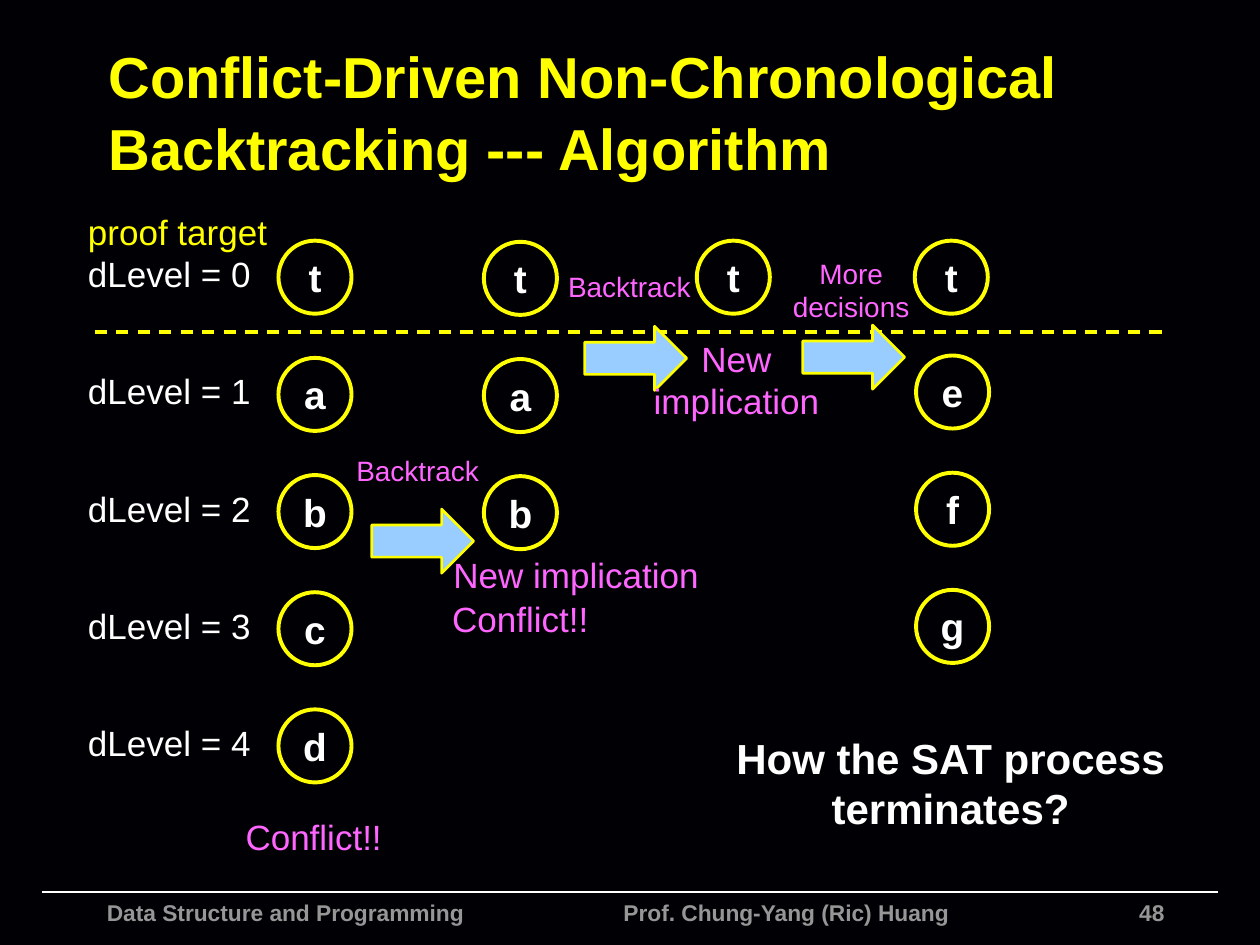
from dataclasses import dataclass

from lxml.etree import SubElement
from pptx import Presentation
from pptx.dml.color import RGBColor
from pptx.enum.dml import MSO_LINE_DASH_STYLE as Dash
from pptx.enum.shapes import MSO_CONNECTOR as Connector, MSO_SHAPE as Shape
from pptx.enum.text import MSO_ANCHOR as Anchor, PP_ALIGN as Align
from pptx.oxml.ns import qn
from pptx.util import Inches, Pt


@dataclass(frozen=True)
class Theme:
    font: str = "Arial"
    back: str = "010004"
    white: str = "FFFFFF"
    yellow: str = "FFFF00"
    pink: str = "FF66FF"
    blue: str = "99CCFF"
    grey: str = "969696"
    title: float = 33
    question: float = 24
    node: float = 22.2
    body: float = 20
    small: float = 16
    footer: float = 13


@dataclass(frozen=True)
class Column:
    x: float
    labels: str
    row: float = 0


@dataclass(frozen=True)
class Label:
    text: str
    x: float
    row: float
    w: float
    size: float
    colors: tuple[str, ...]
    h: float = 0.44
    bold: bool = False
    align: Align = Align.LEFT
    wrap: bool = False


T = Theme()
WIDTH, HEIGHT = 10, 7.5
GRID_TOP, PITCH = 1.91, 0.93  # row 0 is decision level 0
NODE = 0.58


def px(percent: float) -> int:
    """Horizontal position as a percentage of the slide width."""
    return Inches(WIDTH * percent / 100)


def py(row: float) -> int:
    """Vertical position in rows of the decision-level grid."""
    return Inches(GRID_TOP + row * PITCH)


def rgb(color: str) -> RGBColor:
    return RGBColor.from_string(color)


def style(p, size: float, color: str, bold: bool, align: Align) -> None:
    p.alignment = align
    for r in p.runs:
        r.font.name, r.font.size, r.font.bold = T.font, Pt(size), bold
        r.font.color.rgb = rgb(color)


def outline(sp, color: str, width: float) -> None:
    sp.line.color.rgb = rgb(color)
    sp.line.width = Pt(width)


def add_label(s, label: Label):
    sp = s.shapes.add_textbox(px(label.x), py(label.row), Inches(label.w), Inches(label.h))
    tf = sp.text_frame
    tf.word_wrap = label.wrap
    tf.text = label.text
    for p, color in zip(tf.paragraphs, label.colors):
        style(p, label.size, color, label.bold, label.align)
    return sp


def add_node(s, text: str, x: float, row: float) -> None:
    sp = s.shapes.add_shape(Shape.OVAL, px(x), py(row), Inches(NODE), Inches(NODE))
    sp.shadow.inherit = False
    sp.fill.background()
    outline(sp, T.yellow, 2.25)
    tf = sp.text_frame
    tf.margin_left = tf.margin_right = tf.margin_top = tf.margin_bottom = Inches(0.05)
    tf.word_wrap, tf.vertical_anchor = False, Anchor.MIDDLE
    tf.text = text
    style(tf.paragraphs[0], T.node, T.white, True, Align.CENTER)


def add_arrow(s, x: float, row: float) -> None:
    sp = s.shapes.add_shape(Shape.RIGHT_ARROW, px(x), py(row), Inches(0.81), Inches(0.51))
    sp.shadow.inherit = False
    sp.fill.solid()
    sp.fill.fore_color.rgb = rgb(T.blue)
    outline(sp, T.yellow, 1.5)


def add_rule(s, x1: float, x2: float, row: float, color: str, width: float):
    sp = s.shapes.add_connector(Connector.STRAIGHT, px(x1), py(row), px(x2), py(row))
    outline(sp, color, width)
    SubElement(sp._element.spPr, qn("a:effectLst"))
    return sp


def add_title(s, text: str) -> None:
    sp = s.shapes.title
    sp.left, sp.top, sp.width, sp.height = px(7.6), py(-1.66), Inches(8.84), Inches(1.01)
    tf = sp.text_frame
    tf.word_wrap, tf.vertical_anchor = True, Anchor.MIDDLE
    tf.text = text
    tf.paragraphs[0].line_spacing = 1.04
    style(tf.paragraphs[0], T.title, T.yellow, True, Align.LEFT)


def add_footer(s) -> None:
    row, grey = 5.56, (T.grey,)
    add_rule(s, 3.3, 96.7, row, T.white, 1)
    add_label(s, Label("48", 61.7, row, 3.17, T.footer, grey, 0.18, True, Align.RIGHT, True))
    sp = add_label(s, Label("Data Structure and Programming\tProf. Chung-Yang (Ric) Huang",
                            7.5, row, 7.24, T.footer, grey, 0.42, True, wrap=True))
    tabs = SubElement(sp.text_frame.paragraphs[0]._p.get_or_add_pPr(), qn("a:tabLst"))
    SubElement(tabs, qn("a:tab"), pos=str(Inches(4.1)), algn="l")


COLUMNS = [
    Column(22.1, "tabcd"),
    Column(38.4, "tab", 0.01),
    Column(55.3, "t"),
    Column(72.6, "t"),
    Column(72.7, "efg", 0.98),
]
ARROWS = [(29.5, 2.29), (46.4, 0.73), (63.7, 0.72)]

PINK = (T.pink,)
LABELS = [
    Label("proof target\ndLevel = 0", 6, -0.31, 1.63, T.body, (T.yellow, T.white), 0.77),
    *(Label(f"dLevel = {i}", 6, i + 0.05, 1.5, T.body, (T.white,)) for i in range(1, 5)),
    Label("Conflict!!", 18.5, 4.85, 1.29, T.body, PINK),
    Label("Conflict!!", 34.9, 2.99, 1.29, T.body, PINK),
    Label("Backtrack", 27.3, 1.76, 1.19, T.small, PINK, 0.37),
    Label("Backtrack", 44.1, 0.19, 1.19, T.small, PINK, 0.37),
    Label("More decisions", 61.4, 0.08, 1.23, T.small, PINK, 0.64,
          align=Align.CENTER, wrap=True),
    Label("New implication", 35, 2.62, 2.18, T.body, PINK),
    Label("New implication", 49.8, 0.77, 1.73, T.body, PINK, 0.77,
          align=Align.CENTER, wrap=True),
    Label("How the SAT process terminates?", 56.8, 4.14, 3.73, T.question, (T.white,), 0.91,
          True, Align.CENTER, True),
]


def main() -> None:
    prs = Presentation()
    prs.slide_width, prs.slide_height = Inches(WIDTH), Inches(HEIGHT)
    s = prs.slides.add_slide(prs.slide_layouts[5])
    s.background.fill.solid()
    s.background.fill.fore_color.rgb = rgb(T.back)

    # Frame of the slide
    add_footer(s)
    add_title(s, "Conflict-Driven Non-Chronological Backtracking --- Algorithm")

    # Decision stacks, one per search step
    for column in COLUMNS:
        for i, text in enumerate(column.labels):
            add_node(s, text, column.x, column.row + i)

    # Border between the proof target and the decisions
    add_rule(s, 7.5, 92.2, 0.78, T.yellow, 1.75).line.dash_style = Dash.DASH

    # Steps between the stacks and their captions
    for x, row in ARROWS:
        add_arrow(s, x, row)
    for label in LABELS:
        add_label(s, label)

    prs.save("out.pptx")


if __name__ == "__main__":
    main()
